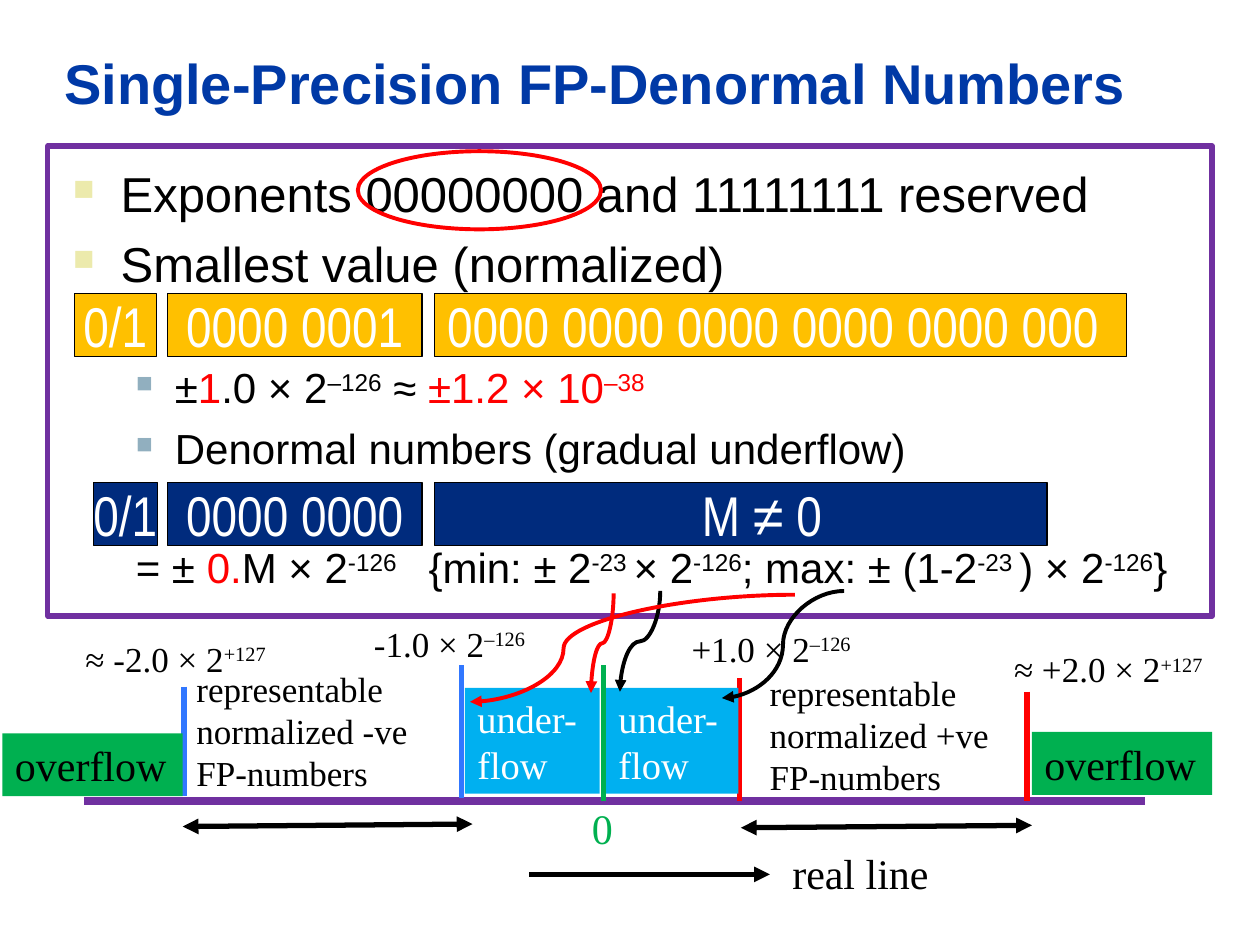
"""Build the slide on single-precision denormal numbers, on a grid of 100 columns by 75 rows."""
from lxml.etree import SubElement
from pptx import Presentation
from pptx.dml.color import RGBColor
from pptx.enum.shapes import MSO_CONNECTOR as LINK, MSO_SHAPE as SHAPE
from pptx.enum.text import MSO_ANCHOR as ANCHOR, PP_ALIGN as ALIGN
from pptx.oxml.ns import qn
from pptx.util import Inches, Pt

CELL = Inches(0.1)
SERIF, SANS, NARROW = "Times New Roman", "Arial", "Arial Narrow"
BLACK, WHITE, RED = RGBColor(0, 0, 0), RGBColor(255, 255, 255), RGBColor(255, 0, 0)
TITLE_BLUE, NAVY = RGBColor(0, 0x39, 0xA6), RGBColor(0, 0x2B, 0x7D)
AMBER, PURPLE = RGBColor(255, 0xC0, 0), RGBColor(0x70, 0x30, 0xA0)
GREEN, SKY = RGBColor(0, 0xB0, 0x50), RGBColor(0, 0xB0, 0xF0)
LIMIT_BLUE = RGBColor(0x31, 0x77, 0xFF)


def block(at, *texts, kind=None, size=20, font=SERIF, color=BLACK, fill=None, line=None, width=0.75):
    """Place text on the grid; ^ marks superscript and * marks red."""
    place = [int(n * CELL) for n in at]
    if kind is None:
        shape = slide.shapes.add_textbox(*place)
    else:
        shape = slide.shapes.add_shape(kind, *place)
        shape.shadow.inherit = False
        shape.fill.background()
        shape.line.fill.background()
        if fill is not None:
            shape.fill.solid()
            shape.fill.fore_color.rgb = fill
        if line is not None:
            shape.line.color.rgb = line
            shape.line.width = Pt(width)
    frame = shape.text_frame
    frame.word_wrap = True
    for number, text in enumerate(texts):
        paragraph = frame.add_paragraph() if number else frame.paragraphs[0]
        paragraph.alignment = ALIGN.LEFT
        paragraph.font.size, paragraph.font.name = Pt(size), font
        paragraph.font.color.rgb = color
        for level, part in enumerate(text.split("^")):
            for tint, piece in enumerate(part.split("*")):
                if piece:
                    run = paragraph.add_run()
                    run.text = piece
                    run.font.size, run.font.name = Pt(size), font
                    run.font.color.rgb = RED if tint % 2 else color
                    if level % 2:
                        run.font._element.set("baseline", "30000")
    return frame


def stroke(x1, y1, x2, y2, color, width, ends=(), kind=LINK.STRAIGHT):
    """Draw a line on the grid, with arrowheads at the named ends."""
    link = slide.shapes.add_connector(kind, *[int(n * CELL) for n in (x1, y1, x2, y2)])
    link.line.color.rgb = color
    link.line.width = Pt(width)
    outline = link.line._get_or_add_ln()
    for end in ends:
        SubElement(outline, qn(f"a:{end}"), type="triangle")
    SubElement(link._element.spPr, qn("a:effectLst"))
    return link


deck = Presentation()
deck.slide_width, deck.slide_height = 100 * CELL, 75 * CELL
slide = deck.slides.add_slide(deck.slide_layouts[5])

title = slide.shapes.title
title.left, title.top, title.width, title.height = [int(n * CELL) for n in (4.1, 3.3, 93.3, 6.4)]
title.text_frame.text = "Single-Precision FP-Denormal Numbers"
title.text_frame.vertical_anchor = ANCHOR.BOTTOM
heading = title.text_frame.paragraphs[0]
heading.alignment = ALIGN.LEFT
heading.font.size, heading.font.name, heading.font.bold = Pt(32), SANS, True
heading.font.color.rgb = TITLE_BLUE

rules = block(
    (4.8, 12.5, 93.3, 35.9),
    "Exponents 00000000 and 11111111 reserved",
    "Smallest value (normalized)",
    "±*1*.0 × 2^–126^ ≈ *±1.2 × 10*^*–38*^",
    "Denormal numbers (gradual underflow)",
    "= ± *0.*M × 2^-126^ ^^{min: ± 2^-23 ^× 2^-126^; max: ± (1-2^-23 ^) × 2^-126^}",
    size=24, font=SANS)
TOP_LEVEL = (0.38, -0.38, "ECEAAC", 60000)
SUB_LEVEL = (0.81, -0.31, "91AFBF", 55000)
FORMULA = (0.5, 0, None, None)
levels = [(TOP_LEVEL, 28, 6.5), (TOP_LEVEL, 28, 6.5), (SUB_LEVEL, 24, 39.5),
          (SUB_LEVEL, 24, 5.8), (FORMULA, 24, 39.5)]
for rule, ((margin, indent, bullet, share), size, before) in zip(rules.paragraphs, levels):
    rule.space_before = Pt(before)
    rule.font.size = Pt(size)
    for run in rule.runs:
        run.font.size = Pt(size)
    layout = rule._p.get_or_add_pPr()
    layout.set("marL", str(Inches(margin)))
    layout.set("indent", str(Inches(indent)))
    marks = []
    if bullet:
        tone = SubElement(layout, qn("a:buClr"))
        SubElement(tone, qn("a:srgbClr"), val=bullet)
        scale = SubElement(layout, qn("a:buSzPct"), val=str(share))
        mark = SubElement(layout, qn("a:buChar"), char="■")
        marks = [tone, scale, mark]
    defaults = layout.find(qn("a:defRPr"))
    for item in marks:
        defaults.addprevious(item)
gap = next(run for run in rules.paragraphs[-1].runs if run.text == " ")
gap.font._element.set("spc", "1150")

for top, fill, fields in [
    (23.3, AMBER, [(5.9, 6.5, "0/1"), (13.3, 20.2, "0000 0001"),
                   (34.5, 54.9, "0000 0000 0000 0000 0000 000")]),
    (38.3, NAVY, [(7.4, 5.1, "0/1"), (13.3, 20.2, "0000 0000"), (34.5, 48.6, "M ≠ 0")]),
]:
    for left, width, bits in fields:
        field = block((left, top, width, 5), bits, kind=SHAPE.RECTANGLE, size=32,
                      font=NARROW, color=WHITE, fill=fill, line=BLACK)
        field.word_wrap = False
        field.vertical_anchor = ANCHOR.MIDDLE
        field.paragraphs[0].alignment = ALIGN.CENTER if width < 30 else ALIGN.LEFT
        if bits.startswith("M"):
            field.margin_left = int(21.2 * CELL)

AXIS = 63.6
stroke(6.7, AXIS, 90.9, AXIS, PURPLE, 4.5)
for x, top, bottom, color in [(47.9, 52.8, AXIS, GREEN), (36.6, 52.8, 63.3, LIMIT_BLUE),
                              (14.6, 54.5, 63.2, LIMIT_BLUE), (58.7, 53.8, AXIS, RED),
                              (81.5, 54.9, AXIS, RED)]:
    stroke(x, top, x, bottom, color, 3)

for left, top, width, limit in [(53.9, 49.3, 17.3, "+1.0 × 2^–126^"),
                                (28.7, 48.9, 17.3, "-1.0 × 2^–126^"),
                                (79.5, 50.9, 19.7, "≈ +2.0 × 2^+127^"),
                                (5.8, 50.1, 17.3, "≈ -2.0 × 2^+127^")]:
    block((left, top, width, 4.4), limit)
block((46, 63.2, 4.7, 5), "0", size=24, color=GREEN)
block((61.9, 66.8, 22.3, 5), "real line", size=24)

for left, top in [(81.9, 58.1), (0.2, 58.2)]:
    block((left, top, 14.3, 5), "overflow", kind=SHAPE.RECTANGLE, size=24, fill=GREEN)
for left, width in [(48.1, 10.5), (36.9, 10.7)]:
    block((left, 54.6, width, 8.4), "under-flow", kind=SHAPE.RECTANGLE, size=22,
          color=WHITE, fill=SKY)
for left, top, sign in [(60.1, 52.8, "+"), (14.6, 52.5, "-")]:
    block((left, top, 21.2, 11.1), f"representable normalized {sign}ve FP-numbers")

stroke(42, 69.4, 61.1, 69.4, BLACK, 3, ["tailEnd"])
for x1, y1, x2, y2 in [(58.8, 65.7, 81.9, 65.5), (14.5, 65.6, 37.5, 65.4)]:
    stroke(x1, y1, x2, y2, BLACK, 3, ["headEnd", "tailEnd"])

block((3.8, 11.6, 92.4, 37.3), kind=SHAPE.RECTANGLE, line=PURPLE, width=3)

for x1, y1, x2, y2, color in [(52.4, 46.9, 49.2, 54.9, BLACK), (48.7, 47.1, 46.9, 55, RED)]:
    middle_x, middle_y = (x1 + x2) / 2, (y1 + y2) / 2
    half_run, half_rise = (y2 - y1) / 2, (x1 - x2) / 2
    drop = stroke(middle_x - half_run, middle_y - half_rise, middle_x + half_run,
                  middle_y + half_rise, color, 2.25, ["tailEnd"], LINK.CURVE)
    drop._element.spPr.find(qn("a:xfrm")).set("rot", "5400000")
stroke(67, 46.9, 57.3, 55.4, BLACK, 2.25, ["tailEnd"], LINK.CURVE)
sweep = stroke(63.1, 47.2, 37.3, 55.7, RED, 2.25, ["tailEnd"], LINK.CURVE)
bend = sweep._element.spPr.find(qn("a:prstGeom")).find(qn("a:avLst"))
SubElement(bend, qn("a:gd"), name="adj1", fmla="val 71200")

block((28.4, 12, 19.3, 6.2), kind=SHAPE.OVAL, line=RED, width=2.25)
deck.save("out.pptx")
